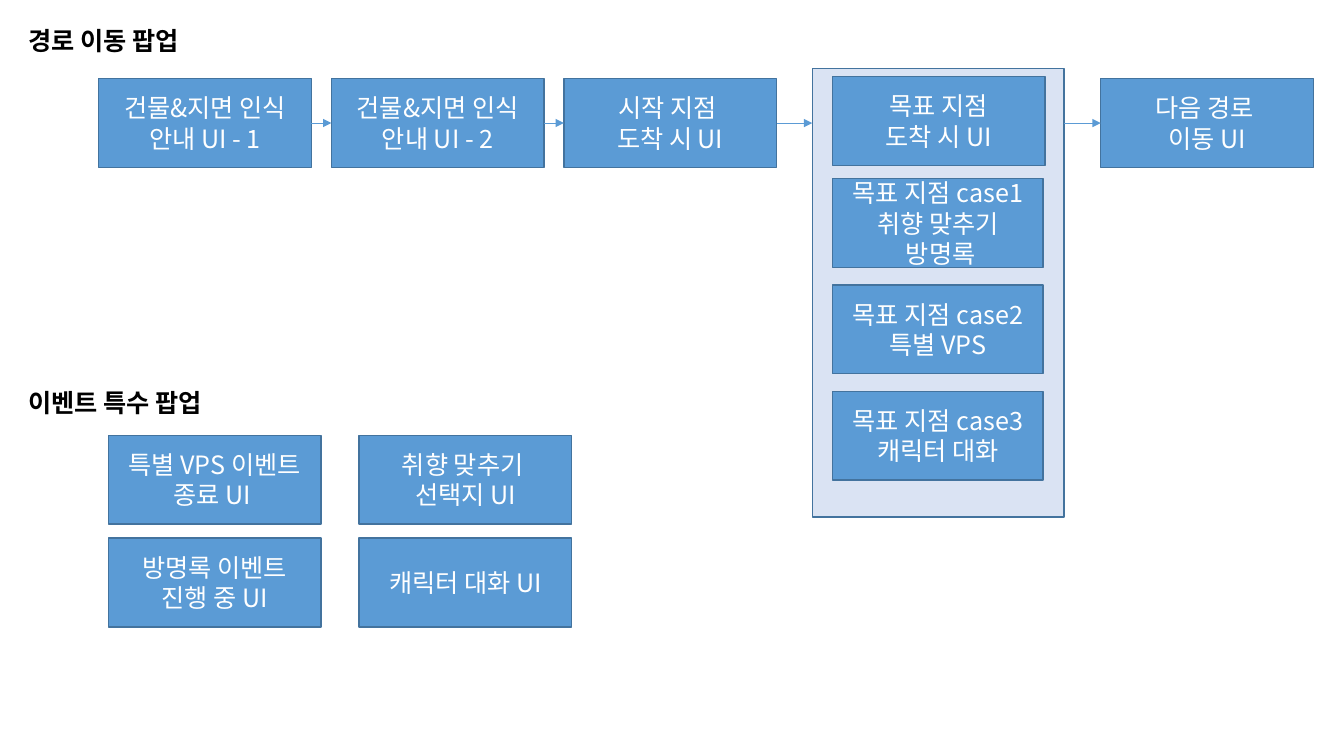
"""Builds a slide that maps the route popups and the special event popups."""
from dataclasses import dataclass

from lxml.etree import SubElement
from pptx import Presentation
from pptx.dml.color import RGBColor
from pptx.enum.shapes import MSO_CONNECTOR, MSO_SHAPE
from pptx.enum.text import MSO_ANCHOR as Anchor, MSO_AUTO_SIZE as AutoSize, PP_ALIGN as Align
from pptx.oxml.ns import qn
from pptx.util import Cm, Pt


@dataclass(frozen=True)
class Theme:
    font: str = "Noto Sans CJK KR"
    size: int = 18
    box: str = "5B9BD5"
    border: str = "43739E"
    panel: str = "DAE3F3"
    arrow: str = "5B9BD5"
    heading: str = "000000"
    label: str = "FFFFFF"
    border_width: float = 1
    arrow_width: float = 0.5


THEME = Theme()
BOX_W, BOX_H, CASE_W = 5.36, 2.24, 5.31
FLOW_X, FLOW_Y, FLOW_STEP = 2.49, 1.98, 5.86
ARROW_Y = FLOW_Y + BOX_H / 2
PANEL_X, PANEL_Y, PANEL_W, PANEL_H = 20.47, 1.73, 6.35, 11.3
GOAL_X, GOAL_Y = 20.98, 1.93
CASE_Y, CASE_STEP = 4.5, 2.68
NEXT_X = 27.74
EVENT_X, EVENT_Y, EVENT_STEP_X, EVENT_STEP_Y = 2.73, 10.97, 6.32, 2.59
HEADING_X, HEADING_H = 0.46, 1.02

FLOW_STEPS = ["건물&지면 인식 안내 UI - 1", "건물&지면 인식 안내 UI - 2", "시작 지점 \n도착 시 UI"]
GOAL_CASES = [
    "목표 지점 case1\n취향 맞추기\n 방명록",
    "목표 지점 case2\n특별 VPS",
    "목표 지점 case3\n캐릭터 대화",
]
EVENT_POPUPS = [
    ["특별 VPS 이벤트\n종료 UI ", "취향 맞추기 \n선택지 UI"],
    ["방명록 이벤트\n진행 중 UI", "캐릭터 대화 UI"],
]


def write_text(frame, text, *, color, bold=False, align=Align.LEFT, anchor=Anchor.TOP):
    """Fill a text frame, one paragraph for each line of text."""
    frame.word_wrap = True
    frame.vertical_anchor = anchor
    frame.text = text
    for paragraph in frame.paragraphs:
        paragraph.alignment = align
        for run in paragraph.runs:
            run.font.name = THEME.font
            run.font.size = Pt(THEME.size)
            run.font.bold = bold
            run.font.color.rgb = RGBColor.from_string(color)
            SubElement(run.font._element, qn("a:ea"), typeface=THEME.font)


def add_heading(shape, text, top, width):
    """Place a section heading in a title placeholder or text box."""
    shape.left, shape.top = Cm(HEADING_X), Cm(top)
    shape.width, shape.height = Cm(width), Cm(HEADING_H)
    write_text(shape.text_frame, text, color=THEME.heading, bold=True)
    shape.text_frame.auto_size = AutoSize.SHAPE_TO_FIT_TEXT


def add_box(slide, left, top, text="", width=BOX_W, height=BOX_H, fill=THEME.box):
    """Add a bordered rectangle with an optional centred label."""
    box = slide.shapes.add_shape(MSO_SHAPE.RECTANGLE, Cm(left), Cm(top), Cm(width), Cm(height))
    box.shadow.inherit = False
    box.fill.solid()
    box.fill.fore_color.rgb = RGBColor.from_string(fill)
    box.line.color.rgb = RGBColor.from_string(THEME.border)
    box.line.width = Pt(THEME.border_width)
    if text:
        write_text(box.text_frame, text, color=THEME.label, align=Align.CENTER, anchor=Anchor.MIDDLE)
    return box


def add_arrow(slide, start, end, source=None, target=None):
    """Add a level arrow, joined to the boxes given at its ends."""
    arrow = slide.shapes.add_connector(
        MSO_CONNECTOR.STRAIGHT, Cm(start), Cm(ARROW_Y), Cm(end), Cm(ARROW_Y))
    if source is not None:
        arrow.begin_connect(source, 3)
    if target is not None:
        arrow.end_connect(target, 1)
    arrow.line.color.rgb = RGBColor.from_string(THEME.arrow)
    arrow.line.width = Pt(THEME.arrow_width)
    SubElement(arrow.line._get_or_add_ln(), qn("a:tailEnd"), type="triangle")
    SubElement(arrow._element.spPr, qn("a:effectLst"))


def add_route(slide):
    """Draw the route popups from the first step to the next route."""
    add_box(slide, PANEL_X, PANEL_Y, width=PANEL_W, height=PANEL_H, fill=THEME.panel)
    add_box(slide, GOAL_X, GOAL_Y, "목표 지점\n도착 시 UI")
    for row, case in enumerate(GOAL_CASES):
        add_box(slide, GOAL_X, CASE_Y + row * CASE_STEP, case, width=CASE_W)
    lefts = [FLOW_X + column * FLOW_STEP for column in range(len(FLOW_STEPS))]
    steps = [add_box(slide, left, FLOW_Y, step) for left, step in zip(lefts, FLOW_STEPS)]
    next_route = add_box(slide, NEXT_X, FLOW_Y, "다음 경로 \n이동 UI")
    for left, source, target in zip(lefts, steps, steps[1:]):
        add_arrow(slide, left + BOX_W, left + FLOW_STEP, source, target)
    add_arrow(slide, lefts[-1] + BOX_W, PANEL_X, source=steps[-1])
    add_arrow(slide, PANEL_X + PANEL_W, NEXT_X, target=next_route)


def add_events(slide):
    """Draw the grid of special event popups."""
    for row, popups in enumerate(EVENT_POPUPS):
        for column, popup in enumerate(popups):
            add_box(slide, EVENT_X + column * EVENT_STEP_X, EVENT_Y + row * EVENT_STEP_Y, popup)


def main():
    """Build and save the slide."""
    deck = Presentation()
    deck.slide_width, deck.slide_height = Cm(33.87), Cm(19.05)
    slide = deck.slides.add_slide(deck.slide_layouts[5])
    add_heading(slide.shapes.title, "경로 이동 팝업", 0.51, 5.36)
    add_route(slide)
    event_heading = slide.shapes.add_textbox(0, 0, 0, 0)
    add_heading(event_heading, "이벤트 특수 팝업", 9.63, 6.99)
    add_events(slide)
    deck.save("out.pptx")


if __name__ == "__main__":
    main()
